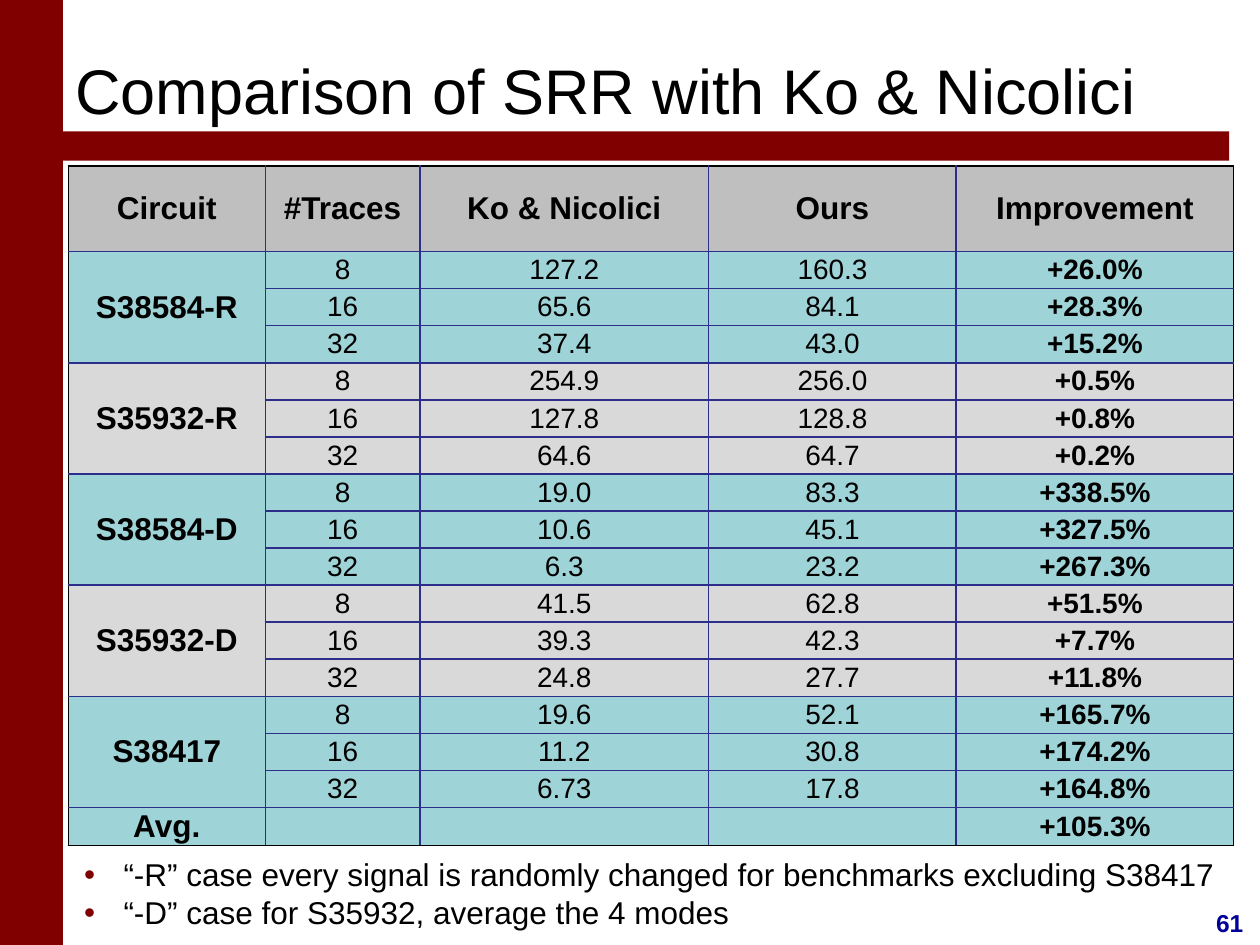
from lxml import etree
from pptx import Presentation
from pptx.dml.color import RGBColor
from pptx.enum.shapes import MSO_SHAPE
from pptx.enum.text import MSO_ANCHOR, PP_ALIGN
from pptx.oxml.ns import qn
from pptx.util import Pt

RECTANGLE = MSO_SHAPE.RECTANGLE
LEFT, CENTER = PP_ALIGN.LEFT, PP_ALIGN.CENTER
TOP, MIDDLE = MSO_ANCHOR.TOP, MSO_ANCHOR.MIDDLE

BLACK = RGBColor(0x00, 0x00, 0x00)
MAROON = RGBColor(0x80, 0x00, 0x00)
NAVY = RGBColor(0x00, 0x00, 0x99)
GRID_BLUE = RGBColor(0x2D, 0x2D, 0x8A)
HEADER_GRAY = RGBColor(0xBF, 0xBF, 0xBF)
GROUP_GRAY = RGBColor(0xD9, 0xD9, 0xD9)
TEAL = RGBColor(0x9E, 0xD3, 0xD7)

HEADERS = ["Circuit", "#Traces", "Ko & Nicolici", "Ours", "Improvement"]
TRACES = ["8", "16", "32"]
RESULTS = {
    "S38584-R": [("127.2", "160.3", "+26.0%"), ("65.6", "84.1", "+28.3%"),
                 ("37.4", "43.0", "+15.2%")],
    "S35932-R": [("254.9", "256.0", "+0.5%"), ("127.8", "128.8", "+0.8%"),
                 ("64.6", "64.7", "+0.2%")],
    "S38584-D": [("19.0", "83.3", "+338.5%"), ("10.6", "45.1", "+327.5%"),
                 ("6.3", "23.2", "+267.3%")],
    "S35932-D": [("41.5", "62.8", "+51.5%"), ("39.3", "42.3", "+7.7%"),
                 ("24.8", "27.7", "+11.8%")],
    "S38417": [("19.6", "52.1", "+165.7%"), ("11.2", "30.8", "+174.2%"),
               ("6.73", "17.8", "+164.8%")],
}
AVERAGE = ["Avg.", "", "", "", "+105.3%"]
COLUMN_WIDTHS = [112.6, 88.3, 165.1, 141.4, 158.6]
HEADER_HEIGHT, ROW_HEIGHT = 48.8, 21.2
NOTES = [
    "“-R” case every signal is randomly changed for benchmarks excluding S38417",
    "“-D” case for S35932, average the 4 modes",
]


class SlideWriter:
    def __init__(self, page, font="Arial"):
        self.page = page
        self.font = font

    def style(self, paragraph, size, color=BLACK, bold=False, align=LEFT):
        paragraph.alignment = align
        for span in paragraph.runs:
            span.font.name = self.font
            span.font.size = Pt(size)
            span.font.bold = bold
            span.font.color.rgb = color

    def bar(self, left, top, width, height):
        shape = self.page.shapes.add_shape(
            RECTANGLE, Pt(left), Pt(top), Pt(width), Pt(height))
        shape.shadow.inherit = False
        shape.fill.solid()
        shape.fill.fore_color.rgb = MAROON
        shape.line.fill.background()

    def text(self, lines, left, top, width, height, size, anchor=TOP, **look):
        box = self.page.shapes.add_textbox(
            Pt(left), Pt(top), Pt(width), Pt(height))
        frame = box.text_frame
        frame.word_wrap = True
        frame.vertical_anchor = anchor
        frame.text = "\n".join(lines)
        for paragraph in frame.paragraphs:
            self.style(paragraph, size, **look)
        return box

    def bullets(self, lines, left, top, width, height, size, indent):
        box = self.text(lines, left, top, width, height, size)
        for paragraph in box.text_frame.paragraphs:
            properties = paragraph._p.get_or_add_pPr()
            properties.set("marL", str(Pt(indent)))
            properties.set("indent", str(-Pt(indent)))
            color = etree.SubElement(properties, qn("a:buClr"))
            etree.SubElement(color, qn("a:srgbClr"), val=str(MAROON))
            etree.SubElement(properties, qn("a:buFont"), typeface=self.font)
            etree.SubElement(properties, qn("a:buChar"), char="•")

    def table(self, rows, left, top, widths, heights):
        frame = self.page.shapes.add_table(
            len(rows), len(widths), Pt(left), Pt(top),
            Pt(sum(widths)), Pt(sum(heights)))
        table = frame.table
        table.first_row = table.horz_banding = False
        for column, width in zip(table.columns, widths):
            column.width = Pt(width)
        for row, height in zip(table.rows, heights):
            row.height = Pt(height)
        last_row, last_column = len(rows) - 1, len(widths) - 1
        for r, (fill, values) in enumerate(rows):
            for c, value in enumerate(values):
                cell = table.cell(r, c)
                outer = {"L": c == 0, "R": c == last_column,
                         "T": r == 0, "B": r == last_row}
                self.borders(cell, outer)
                large = r == 0 or c == 0
                self.cell(cell, value, fill, 18 if large else 16,
                          large or c == last_column)
        return table

    def cell(self, cell, value, fill, size, bold):
        cell.fill.solid()
        cell.fill.fore_color.rgb = fill
        cell.vertical_anchor = MIDDLE
        cell.margin_left = cell.margin_right = Pt(0.7)
        cell.margin_top = cell.margin_bottom = Pt(0)
        cell.text_frame.text = value
        self.style(cell.text_frame.paragraphs[0], size, bold=bold, align=CENTER)

    def borders(self, cell, outer):
        """Draw black lines on the table's outer sides, blue ones elsewhere."""
        properties = cell._tc.get_or_add_tcPr()
        for side, is_outer in outer.items():
            line = etree.SubElement(properties, qn("a:ln" + side), w=str(Pt(1)))
            fill = etree.SubElement(line, qn("a:solidFill"))
            color = BLACK if is_outer else GRID_BLUE
            etree.SubElement(fill, qn("a:srgbClr"), val=str(color))


def table_rows():
    """Return each row as its fill colour and its five texts."""
    rows = [(HEADER_GRAY, HEADERS)]
    for group, (circuit, results) in enumerate(RESULTS.items()):
        fill = GROUP_GRAY if group % 2 else TEAL
        for i, (traces, result) in enumerate(zip(TRACES, results)):
            rows.append((fill, [circuit if i == 0 else "", traces, *result]))
    rows.append((TEAL, AVERAGE))
    return rows


def main():
    deck = Presentation()
    deck.slide_width, deck.slide_height = Pt(720), Pt(540)
    writer = SlideWriter(deck.slides.add_slide(deck.slide_layouts[6]))

    writer.bar(0, 0, 36, 540)
    writer.text(["61"], 684.7, 515.5, 36, 24, 14,
                color=NAVY, bold=True, align=CENTER)
    writer.bar(30, 75, 672.5, 16.8)
    writer.bullets(NOTES, 41, 485.3, 678.3, 51, 18, indent=22.5)
    writer.text(["Comparison of SRR with Ko & Nicolici"],
                36, 12, 660, 78, 36, anchor=MIDDLE)

    rows = table_rows()
    heights = [HEADER_HEIGHT] + [ROW_HEIGHT] * (len(rows) - 1)
    table = writer.table(rows, 39, 95, COLUMN_WIDTHS, heights)
    group_size = len(TRACES)
    for first in range(1, len(rows) - 1, group_size):
        table.cell(first, 0).merge(table.cell(first + group_size - 1, 0))

    deck.save("out.pptx")


if __name__ == "__main__":
    main()
